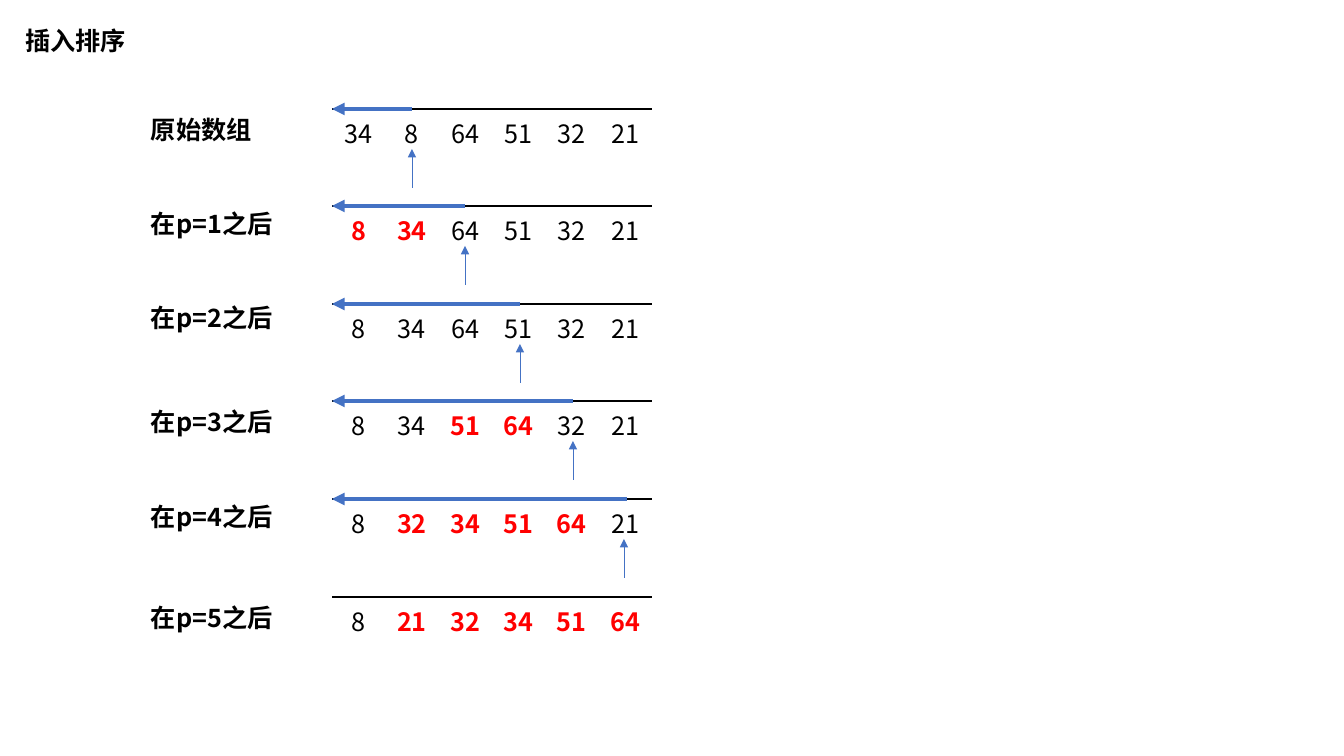
"""Build the insertion sort slide: one array row per pass, with scan arrows."""
from lxml import etree
from pptx import Presentation
from pptx import util as u
from pptx.dml.color import RGBColor
from pptx.enum import shapes, text
from pptx.oxml.ns import qn

FONT = "Noto Sans CJK SC"
BLACK, RED, BLUE = "000000", "FF0000", "4472C4"
LEFT, WIDTH, ROW_H = 332, 320, 41
PASSES = [
    ("原始数组", 109, [34, 8, 64, 51, 32, 21], range(0), 412, 412),
    ("在p=1之后", 203, [8, 34, 64, 51, 32, 21], range(2), 465, 465),
    ("在p=2之后", 297, [8, 34, 64, 51, 32, 21], range(0), 520, 520),
    ("在p=3之后", 401, [8, 34, 51, 64, 32, 21], range(2, 4), 573, 573),
    ("在p=4之后", 496, [8, 32, 34, 51, 64, 21], range(1, 5), 624, 627),
    ("在p=5之后", 597, [8, 21, 32, 34, 51, 64], range(1, 6), None, None),
]


def px(n):
    return u.Emu(round(n * 914400 / 100.8))


def rgb(color):
    return RGBColor.from_string(color)


def write(tf, words, color=BLACK, bold=True, align=text.PP_ALIGN.LEFT):
    tf.text = words
    p = tf.paragraphs[0]
    p.alignment = align
    r = p.runs[0]
    r.font.size = u.Pt(18)
    r.font.bold = bold
    r.font.color.rgb = rgb(color)
    r.font.name = FONT
    etree.SubElement(r._r.get_or_add_rPr(), qn("a:ea"), typeface=FONT)


def add_title(s, words):
    sp = s.shapes.title
    sp.left, sp.top, sp.width, sp.height = px(15), px(20), px(126), px(40)
    tf = sp.text_frame
    tf.word_wrap = False
    tf.auto_size = text.MSO_AUTO_SIZE.SHAPE_TO_FIT_TEXT
    tf.vertical_anchor = text.MSO_ANCHOR.TOP
    write(tf, words)


def add_label(s, words, top):
    sp = s.shapes.add_textbox(px(141), px(top), px(158), px(40))
    tf = sp.text_frame
    tf.word_wrap = False
    tf.auto_size = text.MSO_AUTO_SIZE.SHAPE_TO_FIT_TEXT
    write(tf, words)


def set_top_border(cell):
    tcPr = cell._tc.get_or_add_tcPr()
    for side in ("lnL", "lnR", "lnT", "lnB"):
        ln = etree.SubElement(tcPr, qn("a:" + side), w=str(u.Pt(1)))
        if side == "lnT":
            fill = etree.SubElement(ln, qn("a:solidFill"))
            etree.SubElement(fill, qn("a:srgbClr"), val=BLACK)
        else:
            etree.SubElement(ln, qn("a:noFill"))


def add_array(s, values, moved, top):
    table = s.shapes.add_table(1, len(values), px(LEFT), px(top), px(WIDTH), px(ROW_H)).table
    table.first_row = table.horz_banding = False
    for i, value in enumerate(values):
        cell = table.cell(0, i)
        set_top_border(cell)
        cell.fill.background()
        hit = i in moved
        write(cell.text_frame, str(value), RED if hit else BLACK, hit, text.PP_ALIGN.CENTER)


def add_arrow(s, x1, y1, x2, y2, weight):
    c = s.shapes.add_connector(shapes.MSO_CONNECTOR.STRAIGHT, px(x1), px(y1), px(x2), px(y2))
    c.line.color.rgb = rgb(BLUE)
    c.line.width = u.Pt(weight)
    spPr = c._element.spPr
    etree.SubElement(spPr.get_or_add_ln(), qn("a:tailEnd"), type="triangle")
    etree.SubElement(spPr, qn("a:effectLst"))


def main():
    prs = Presentation()
    prs.slide_width, prs.slide_height = px(1344), px(756)
    s = prs.slides.add_slide(prs.slide_layouts[5])
    add_title(s, "插入排序")
    for i, (label, label_top, values, moved, pointer, scan) in enumerate(PASSES):
        top = 109 + i * 488 // 5
        add_array(s, values, moved, top)
        add_label(s, label, label_top)
        if pointer:
            add_arrow(s, pointer, top + 79, pointer, top + 40, 0.5)
            add_arrow(s, scan, top, LEFT, top, 3)
    prs.save("out.pptx")


if __name__ == "__main__":
    main()
